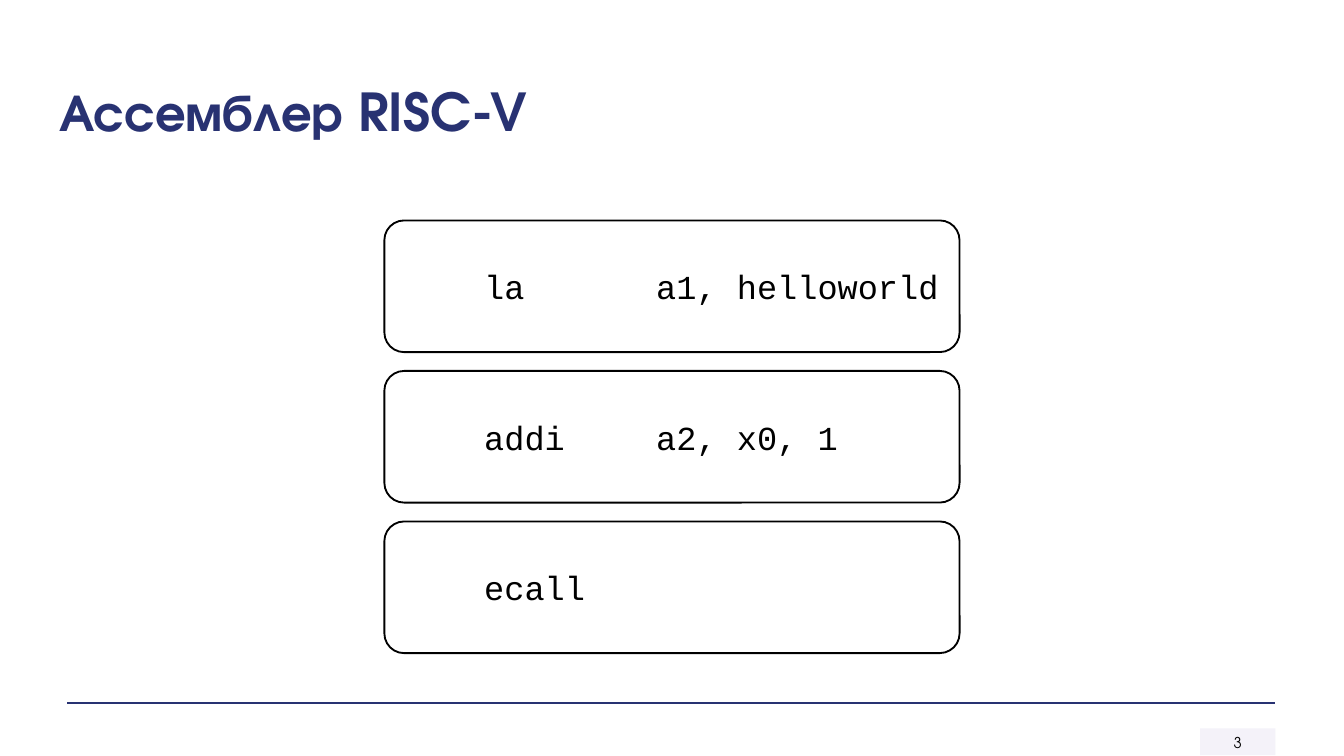
from lxml import etree
from pptx import Presentation
from pptx.dml.color import RGBColor
from pptx.enum.shapes import MSO_CONNECTOR, MSO_SHAPE
from pptx.enum.text import MSO_ANCHOR, PP_ALIGN
from pptx.oxml.ns import qn
from pptx.util import Inches, Pt

RECT = MSO_SHAPE.RECTANGLE
ROUNDED = MSO_SHAPE.ROUNDED_RECTANGLE
STRAIGHT = MSO_CONNECTOR.STRAIGHT
TOP, MIDDLE = MSO_ANCHOR.TOP, MSO_ANCHOR.MIDDLE
LEFT, CENTER, JUSTIFY = PP_ALIGN.LEFT, PP_ALIGN.CENTER, PP_ALIGN.JUSTIFY

SANS, MONO = "TeX Gyre Adventor", "Courier New"
NAVY, BLACK, LAVENDER = "283272", "000000", "F3F1F9"

SLIDE_WIDTH = 10
SLIDE_HEIGHT = SLIDE_WIDTH * 9 / 16
INSTRUCTIONS = ["\tla \t\ta1, helloworld", "\taddi\t\ta2, x0, 1", "\tecall"]
BOX_TOP, BOX_HEIGHT, BOX_GAP = 1.64, 0.98, 0.14
TAB_STEP, TAB_COUNT = 0.64, 3


def color(value):
    return RGBColor.from_string(value)


def write(s, text, font, size, fill, align, anchor, insets, bold=False, tabs=()):
    """Fill a shape with one paragraph; insets are (horizontal, vertical)."""
    tf = s.text_frame
    tf.word_wrap = True
    tf.vertical_anchor = anchor
    tf.margin_left = tf.margin_right = Inches(insets[0])
    tf.margin_top = tf.margin_bottom = Inches(insets[1])
    p = tf.paragraphs[0]
    p.text = text
    p.alignment = align
    if tabs:
        tab_list = etree.SubElement(p._p.get_or_add_pPr(), qn("a:tabLst"))
        for pos in tabs:
            etree.SubElement(tab_list, qn("a:tab"), pos=str(Inches(pos)), algn="l")
    p.font.name = font
    p.font.size = Pt(size)
    p.font.bold = bold
    p.font.color.rgb = color(fill)


def add_title(slide, text):
    s = slide.shapes.title
    s.left, s.top, s.width, s.height = map(Inches, (0.34, 0.49, 7.63, 0.35))
    write(s, text, SANS, 28, NAVY, LEFT, TOP, (0.1, 0.1), bold=True)


def add_instruction(slide, top, text):
    s = slide.shapes.add_shape(
        ROUNDED, Inches(2.86), Inches(top), Inches(4.28), Inches(BOX_HEIGHT))
    s.shadow.inherit = False
    s.adjustments[0] = 0.15
    s.fill.background()
    s.line.color.rgb = color(BLACK)
    s.line.width = Pt(1)
    tabs = [TAB_STEP * (i + 1) for i in range(TAB_COUNT)]
    write(s, text, MONO, 18, BLACK, JUSTIFY, MIDDLE, (0.06, 0.06), tabs=tabs)


def add_page_number(slide, number):
    s = slide.shapes.add_shape(
        RECT, Inches(8.93), Inches(5.42), Inches(0.56), Inches(0.2))
    s.shadow.inherit = False
    s.fill.solid()
    s.fill.fore_color.rgb = color(LAVENDER)
    srgb = s._element.spPr.find(".//" + qn("a:srgbClr"))
    etree.SubElement(srgb, qn("a:alpha"), val="90000")
    s.line.fill.background()
    write(s, number, SANS, 8, BLACK, CENTER, TOP, (0.07, 0.04))


def add_footer_rule(slide):
    line = slide.shapes.add_connector(
        STRAIGHT, Inches(0.5), Inches(5.23), Inches(9.49), Inches(5.23))
    line.line.color.rgb = color(NAVY)
    line.line.width = Pt(1)
    etree.SubElement(line._element.spPr, qn("a:effectLst"))


def main():
    prs = Presentation()
    prs.slide_width = Inches(SLIDE_WIDTH)
    prs.slide_height = Inches(SLIDE_HEIGHT)
    slide = prs.slides.add_slide(prs.slide_layouts[5])
    add_page_number(slide, "3")
    add_footer_rule(slide)
    add_title(slide, "Ассемблер RISC-V")
    for i, text in enumerate(INSTRUCTIONS):
        add_instruction(slide, BOX_TOP + i * (BOX_HEIGHT + BOX_GAP), text)
    prs.save("out.pptx")


if __name__ == "__main__":
    main()
